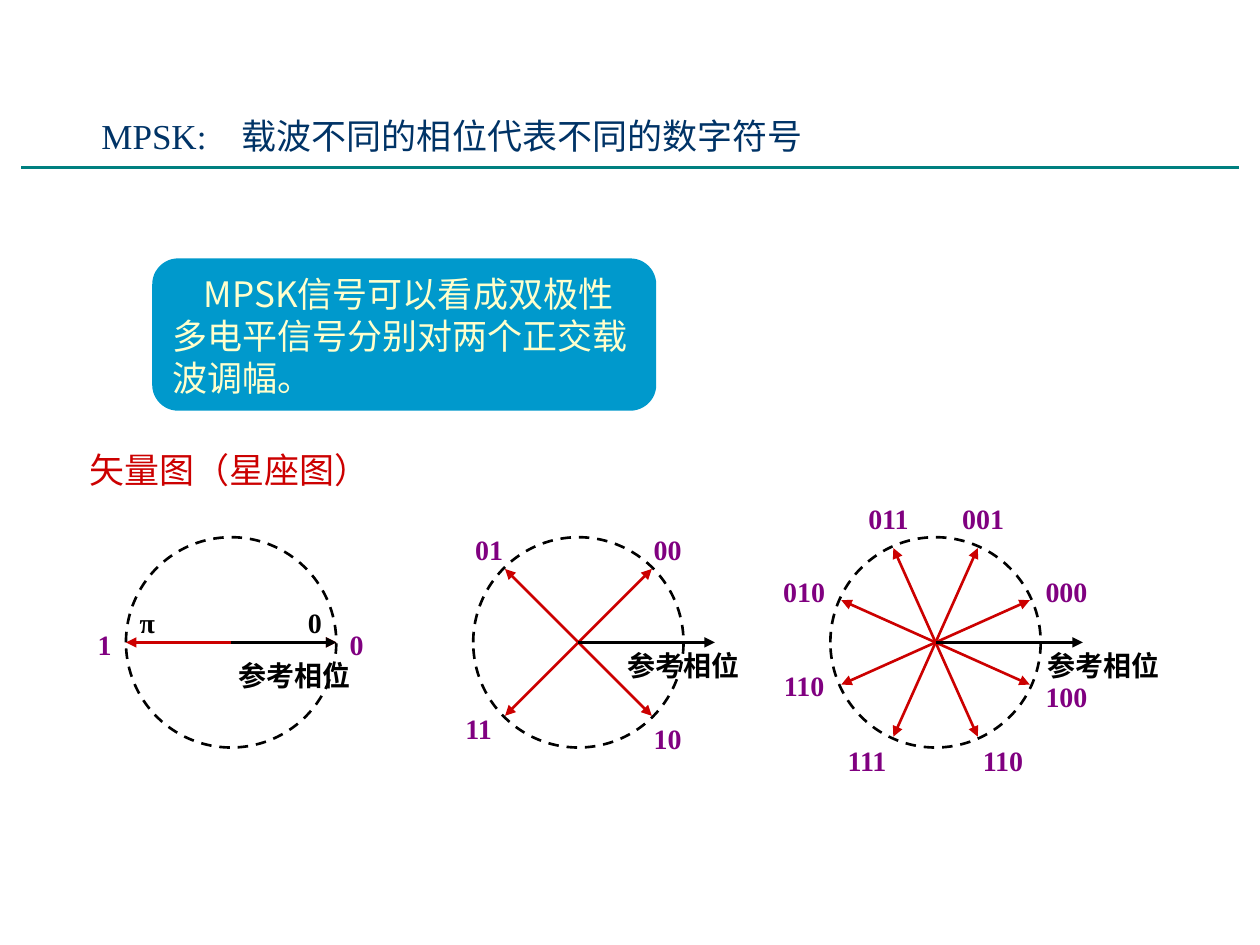
from lxml import etree
from pptx import Presentation
from pptx import util as u
from pptx.dml.color import RGBColor
from pptx.enum import dml, shapes, text
from pptx.oxml.ns import qn

COLOURS = {"title": "003366", "rule": "008080", "vector": "CC0000", "code": "800080",
           "axis": "000000", "panel": "0099CC", "panel_text": "FFFFCC"}
SERIF, SANS = "Times New Roman", "Noto Sans CJK SC"
FONTS = {
    "title": {"size": u.Pt(20), "name": SERIF},
    "body": {"size": u.Pt(20), "name": SANS},
    "label": {"size": u.Pt(16), "name": SERIF, "bold": True},
}
RADIUS = 2.12
CENTRE_Y = 12.95
LABEL_HEIGHT = 0.94
REFERENCE = "参考相位"

# Offsets are in cm from the centre of each circle.
CONSTELLATIONS = [
    {"x": 18.86, "axis": 2.97, "reference": (3.38, 0.47),
     "vectors": [(sx * a, sy * b) for a, b in ((1.9, 0.85), (0.85, 1.9))
                 for sx in (1, -1) for sy in (1, -1)],
     "codes": [("000", 2.64, -1.03), ("001", 0.96, -2.5), ("011", -0.95, -2.5),
               ("010", -2.65, -1.03), ("110", -2.65, 0.88), ("111", -1.38, 2.38),
               ("110", 1.36, 2.38), ("100", 2.64, 1.1)],
     "phases": []},
    {"x": 11.66, "axis": 2.75, "reference": (2.12, 0.47),
     "vectors": [(sx * 1.48, sy * 1.48) for sx in (1, -1) for sy in (1, -1)],
     "codes": [("00", 1.8, -1.86), ("01", -1.8, -1.86),
               ("11", -2.01, 1.74), ("10", 1.8, 1.95)],
     "phases": []},
    {"x": 4.66, "axis": RADIUS, "reference": (1.28, 0.68),
     "vectors": [(RADIUS, 0), (-RADIUS, 0)],
     "codes": [("0", 2.53, 0.04), ("1", -2.55, 0.04)],
     "phases": [("0", 1.69, -0.39), ("π", -1.69, -0.39)]},
]


def rgb(colour):
    return RGBColor.from_string(COLOURS[colour])


class Sketch:
    """Holds the slide being drawn and the style shared by its elements."""

    def __init__(self, page, fonts):
        self.page = page
        self.fonts = fonts

    def set_text(self, shape, words, style, colour, **para_format):
        frame = shape.text_frame
        frame.word_wrap = True
        para = frame.paragraphs[0]
        for key, value in para_format.items():
            setattr(para, key, value)
        span = para.add_run()
        span.text = words
        for key, value in self.fonts[style].items():
            setattr(span.font, key, value)
        span.font.color.rgb = rgb(colour)
        return para

    def text_box(self, area, words, style, colour, **para_format):
        box = self.page.shapes.add_textbox(*map(u.Cm, area))
        self.set_text(box, words, style, colour, **para_format)
        return box

    def label(self, words, x, y, width, colour):
        """Centre a short bold label on the point x, y."""
        area = (x - width / 2, y - LABEL_HEIGHT / 2, width, LABEL_HEIGHT)
        self.text_box(area, words, "label", colour, alignment=text.PP_ALIGN.CENTER)

    def line(self, start, end, colour, width=1.5, arrow=False):
        link = self.page.shapes.add_connector(
            shapes.MSO_CONNECTOR.STRAIGHT, *map(u.Cm, (*start, *end)))
        link.line.color.rgb = rgb(colour)
        link.line.width = u.Pt(width)
        properties = link._element.spPr
        if arrow:
            etree.SubElement(properties.find(qn("a:ln")), qn("a:tailEnd"), type="triangle")
        etree.SubElement(properties, qn("a:effectLst"))

    def circle(self, x, y):
        ring = self.page.shapes.add_shape(
            shapes.MSO_SHAPE.OVAL,
            *map(u.Cm, (x - RADIUS, y - RADIUS, 2 * RADIUS, 2 * RADIUS)))
        ring.shadow.inherit = False
        ring.fill.background()
        ring.line.color.rgb = rgb("axis")
        ring.line.width = u.Pt(1.5)
        ring.line.dash_style = dml.MSO_LINE.DASH

    def panel(self, area, words):
        box = self.page.shapes.add_shape(
            shapes.MSO_SHAPE.ROUNDED_RECTANGLE, *map(u.Cm, area))
        box.shadow.inherit = False
        box.adjustments[0] = 0.17
        box.fill.solid()
        box.fill.fore_color.rgb = rgb("panel")
        box.line.fill.background()
        box.text_frame.vertical_anchor = text.MSO_ANCHOR.TOP
        para = self.set_text(box, words, "body", "panel_text",
                             alignment=text.PP_ALIGN.LEFT, line_spacing=u.Pt(24))
        para._p.get_or_add_pPr().set("indent", str(u.Cm(0.64)))

    def constellation(self, plan):
        x, y = plan["x"], CENTRE_Y
        self.circle(x, y)
        for dx, dy in plan["vectors"]:
            self.line((x, y), (x + dx, y + dy), "vector", arrow=True)
        self.line((x, y), (x + plan["axis"], y), "axis", arrow=True)
        dx, dy = plan["reference"]
        self.label(REFERENCE, x + dx, y + dy, 2.97, "axis")
        for group, colour in (("codes", "code"), ("phases", "axis")):
            for words, dx, dy in plan[group]:
                width = 0.84 if len(words) == 1 else 1.48
                self.label(words, x + dx, y + dy, width, colour)


def main():
    deck = Presentation()
    deck.slide_width, deck.slide_height = u.Cm(25.4), u.Cm(19.05)
    sketch = Sketch(deck.slides.add_slide(deck.slide_layouts[6]), FONTS)

    sketch.text_box((0.76, 2.01, 16.71, 1.45), "MPSK:　载波不同的相位代表不同的数字符号",
                    "title", "title", alignment=text.PP_ALIGN.CENTER, line_spacing=1.2)
    sketch.line((0.43, 3.38), (24.97, 3.38), "rule", width=2)
    heading = sketch.text_box((1.55, 8.92, 7.6, 1.07), "矢量图（星座图）", "body", "vector")
    heading.text_frame.vertical_anchor = text.MSO_ANCHOR.MIDDLE
    for plan in CONSTELLATIONS:
        sketch.constellation(plan)
    sketch.panel((3.07, 5.21, 10.16, 3.07),
                 "MPSK信号可以看成双极性多电平信号分别对两个正交载波调幅。")

    deck.save("out.pptx")


if __name__ == "__main__":
    main()
